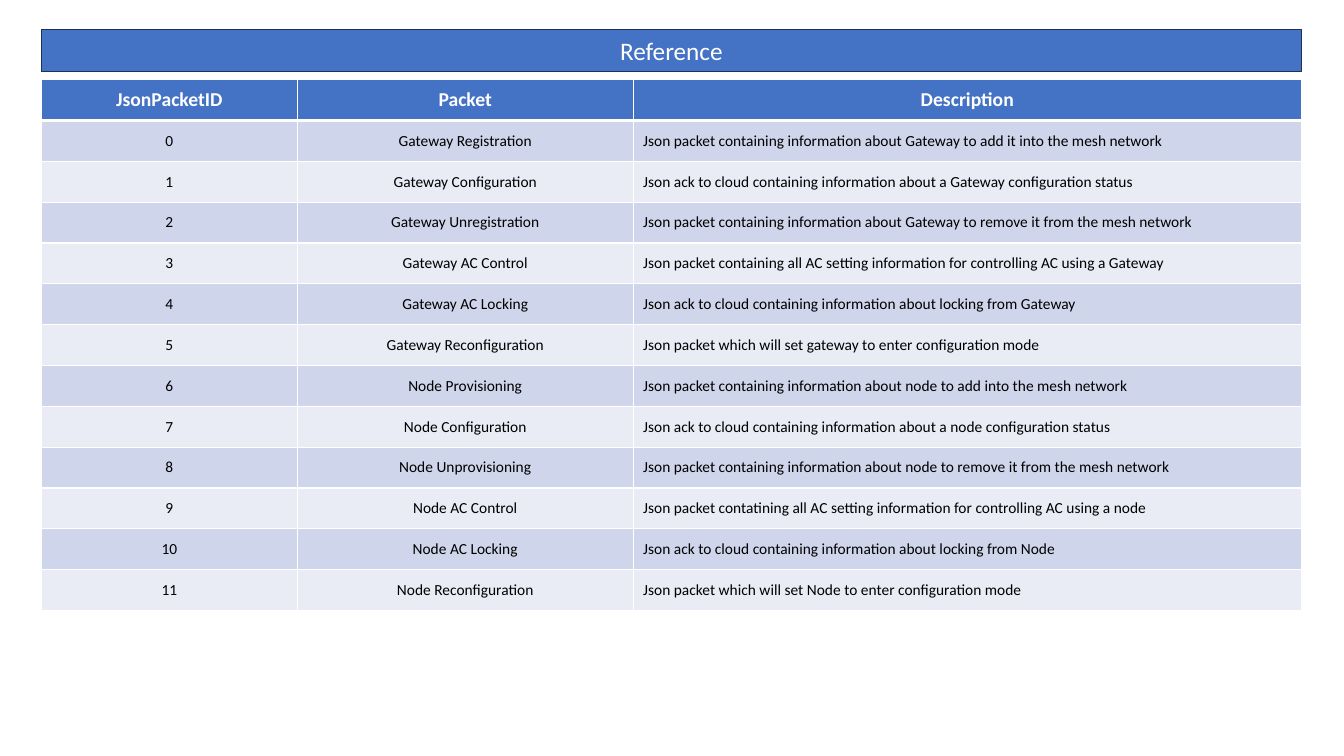
import pptx
import pptx.dml.color
import pptx.enum.shapes
import pptx.enum.text
import pptx.oxml
import pptx.oxml.ns
import pptx.util

RGB = pptx.dml.color.RGBColor
BLUE = RGB(0x44, 0x72, 0xC4)
NAVY = RGB(0x1E, 0x32, 0x56)
WHITE = RGB(0xFF, 0xFF, 0xFF)
BLACK = RGB(0, 0, 0)
BANDS = RGB(0xCF, 0xD5, 0xEA), RGB(0xE9, 0xEB, 0xF5)

FONT = "Calibri"
Inches, Pt = pptx.util.Inches, pptx.util.Pt
ALIGN = pptx.enum.text.PP_ALIGN
MIDDLE = pptx.enum.text.MSO_ANCHOR.MIDDLE

WIDE, HIGH = 13.33, 7.5
LEFT, SPAN = 0.41, 12.5
COLS = 2.54, 3.33, 6.63
TOP, DEPTH = 0.79, 5.27

HEAD = "JsonPacketID", "Packet", "Description"
PACKETS = [
    ("Gateway Registration",
     "Json packet containing information about Gateway to add it into the mesh network"),
    ("Gateway Configuration",
     "Json ack to cloud containing information about a Gateway configuration status"),
    ("Gateway Unregistration",
     "Json packet containing information about Gateway to remove it from the mesh network"),
    ("Gateway AC Control",
     "Json packet containing all AC setting information for controlling AC using a Gateway"),
    ("Gateway AC Locking",
     "Json ack to cloud containing information about locking from Gateway"),
    ("Gateway Reconfiguration",
     "Json packet which will set gateway to enter configuration mode"),
    ("Node Provisioning",
     "Json packet containing information about node to add into the mesh network"),
    ("Node Configuration",
     "Json ack to cloud containing information about a node configuration status"),
    ("Node Unprovisioning",
     "Json packet containing information about node to remove it from the mesh network"),
    ("Node AC Control",
     "Json packet contatining all AC setting information for controlling AC using a node"),
    ("Node AC Locking",
     "Json ack to cloud containing information about locking from Node"),
    ("Node Reconfiguration",
     "Json packet which will set Node to enter configuration mode"),
]


def write(frame, text, size=11, color=BLACK, bold=False, align=ALIGN.CENTER):
    para = frame.paragraphs[0]
    para.alignment = align
    run = para.add_run()
    run.text = text
    font = run.font
    font.name, font.size, font.bold = FONT, Pt(size), bold
    font.color.rgb = color


def edge(cell, side, width):
    """Draw one white border; side is L, R, T or B."""
    line = pptx.oxml.parse_xml(
        f'<a:ln{side} {pptx.oxml.ns.nsdecls("a")} w="{Pt(width)}">'
        f'<a:solidFill><a:srgbClr val="{WHITE}"/></a:solidFill></a:ln{side}>')
    cell._tc.get_or_add_tcPr().append(line)


def banner(slide, text):
    bar = slide.shapes.add_shape(
        pptx.enum.shapes.MSO_SHAPE.RECTANGLE,
        Inches(LEFT), Inches(0.29), Inches(SPAN), Inches(0.42))
    bar.shadow.inherit = False
    bar.fill.solid()
    bar.fill.fore_color.rgb = BLUE
    bar.line.color.rgb = NAVY
    bar.line.width = Pt(1)
    bar.text_frame.vertical_anchor = MIDDLE
    write(bar.text_frame, text, size=18, color=WHITE)


def style(cell, row):
    """Set the borders, fill and anchor that suit the row."""
    for side in "LRTB":
        thick = (row, side) in ((0, "B"), (1, "T"))
        edge(cell, side, 3 if thick else 1)
    cell.fill.solid()
    cell.fill.fore_color.rgb = BANDS[(row - 1) % 2] if row else BLUE
    cell.vertical_anchor = MIDDLE


def grid(slide, rows):
    table = slide.shapes.add_table(
        len(rows), len(COLS),
        Inches(LEFT), Inches(TOP), Inches(SPAN), Inches(DEPTH)).table
    for col, width in zip(table.columns, COLS):
        col.width = Inches(width)
    for r, texts in enumerate(rows):
        table.rows[r].height = Inches(DEPTH / len(rows))
        for c, text in enumerate(texts):
            cell = table.cell(r, c)
            style(cell, r)
            if r == 0:
                write(cell.text_frame, text, size=14, color=WHITE, bold=True)
            else:
                write(cell.text_frame, text,
                      align=ALIGN.LEFT if c == 2 else ALIGN.CENTER)


def main():
    deck = pptx.Presentation()
    deck.slide_width, deck.slide_height = Inches(WIDE), Inches(HIGH)
    slide = deck.slides.add_slide(deck.slide_layouts[6])
    banner(slide, "Reference")
    grid(slide, [HEAD] + [(str(i), *row) for i, row in enumerate(PACKETS)])
    deck.save("out.pptx")


if __name__ == "__main__":
    main()
